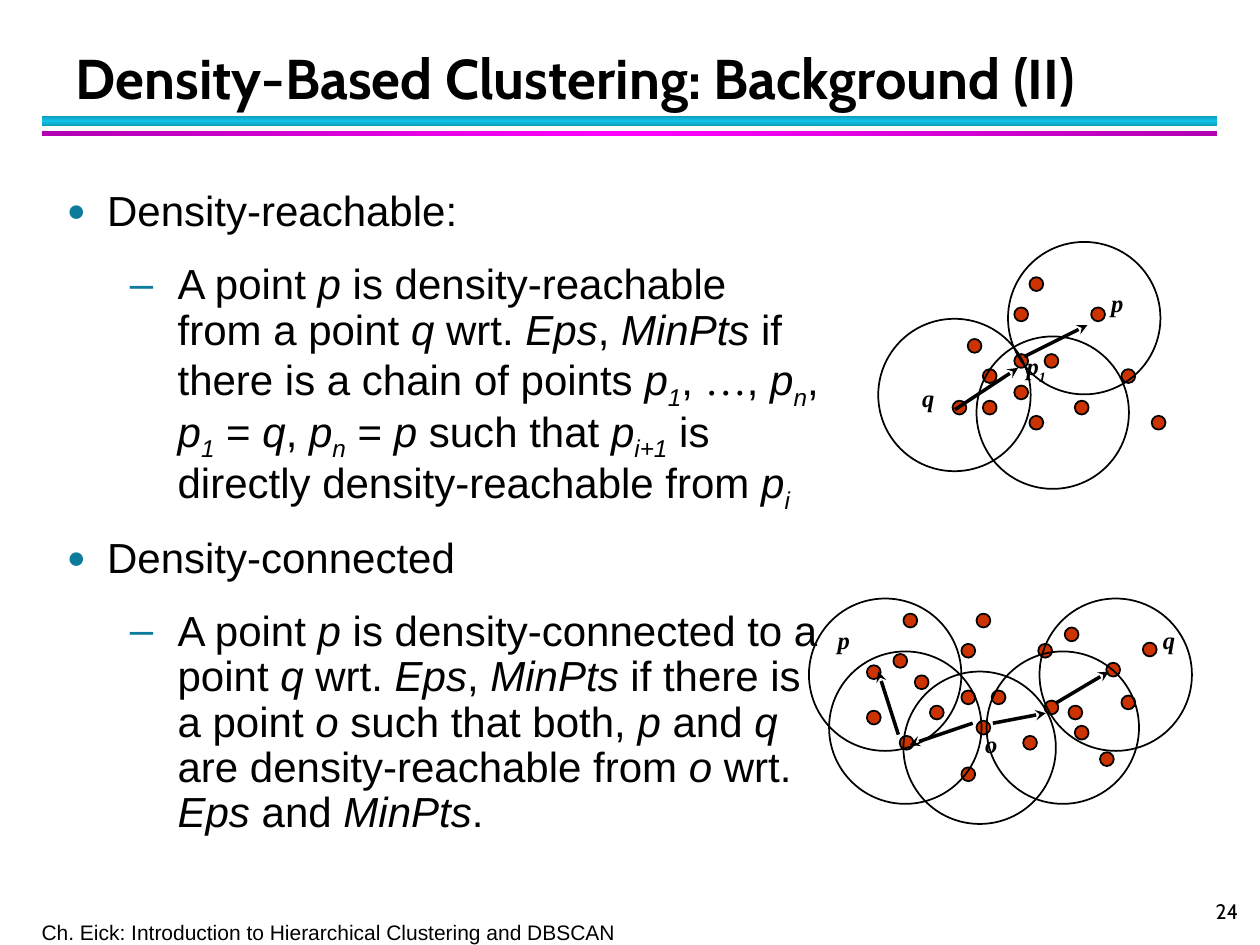
from copy import deepcopy

from lxml.etree import SubElement as Sub
from pptx import Presentation
from pptx.dml.color import RGBColor as RGB
from pptx.enum.shapes import MSO_CONNECTOR as LINK, MSO_SHAPE as SHAPE
from pptx.enum.text import MSO_ANCHOR as ANCHOR, MSO_AUTO_SIZE as FIT, PP_ALIGN as ALIGN
from pptx.oxml.ns import qn
from pptx.util import Inches, Pt

BLACK = RGB(0, 0, 0)
RED = RGB(0xCC, 0x33, 0x00)
TEAL = RGB(0x0C, 0x7B, 0x9C)
CYAN = (RGB(0x0E, 0x9B, 0xBA), RGB(0x12, 0xC2, 0xE9))
PINK = (RGB(0xB2, 0x00, 0xB2), RGB(0xFF, 0x00, 0xFF))
SANS, HEAD, SERIF = "Arial", "Cabin", "Times New Roman"
DOT, RING = 0.11, 1.21


def put(para, text, font=SANS, size=24, bold=False, italic=False, sub=False):
    """Add one formatted run to a paragraph."""
    run = para.add_run()
    run.text = text
    face = run.font
    face.name, face.size, face.bold, face.italic = font, Pt(size), bold, italic
    face.color.rgb = BLACK
    if sub:
        face._element.set("baseline", "-25000")


def rich(para, text):
    """*...* is italic; ~...~ is a subscript in italics, serif elsewhere."""
    for i, part in enumerate(text.split("*")):
        slant = i % 2 == 1
        for j, bit in enumerate(part.split("~")):
            mark = j % 2 == 1
            if bit:
                put(para, bit, font=SERIF if mark and not slant else SANS,
                    italic=slant, sub=mark and slant)


def bullet(para, sign, left, hang, scale=100):
    props = para._p.get_or_add_pPr()
    props.set("marL", str(Inches(left)))
    props.set("indent", str(-Inches(hang)))
    Sub(Sub(props, qn("a:buClr")), qn("a:srgbClr"), val=str(TEAL))
    Sub(props, qn("a:buSzPct"), val=str(scale * 1000))
    Sub(props, qn("a:buFont"), typeface=SANS)
    Sub(props, qn("a:buChar"), char=sign)


class Deck:
    def __init__(self):
        self.file = Presentation()
        self.file.slide_width, self.file.slide_height = Inches(10), Inches(7.5)
        self.slide = self.file.slides.add_slide(self.file.slide_layouts[1])
        self.shapes = self.slide.shapes

    def place(self, shape, *box):
        shape.left, shape.top, shape.width, shape.height = map(Inches, box)
        frame = shape.text_frame
        frame.word_wrap, frame.auto_size = True, FIT.NONE
        return frame

    def title(self, text, *box):
        frame = self.place(self.shapes.title, *box)
        frame.vertical_anchor = ANCHOR.MIDDLE
        para = frame.paragraphs[0]
        para.alignment, para.line_spacing = ALIGN.LEFT, Pt(36)
        put(para, text, HEAD, 32, bold=True)

    def body(self, items, *box):
        frame = self.place(self.slide.placeholders[1], *box)
        for i, (level, text) in enumerate(items):
            para = frame.add_paragraph() if i else frame.paragraphs[0]
            para.level, para.line_spacing = level, 0.9
            para.space_before, para.space_after = Pt(12 if i else 0), Pt(4)
            if level:
                bullet(para, "–", 0.88, 0.38)
            else:
                bullet(para, "●", 0.32, 0.32, 75)
            rich(para, text)

    def text(self, text, *box, sub="", pad=True, lead=None, anchor=ANCHOR.TOP, **style):
        frame = self.place(self.shapes.add_textbox(0, 0, 0, 0), *box)
        frame.vertical_anchor = anchor
        if not pad:
            frame.margin_left = frame.margin_right = 0
            frame.margin_top = frame.margin_bottom = 0
        para = frame.paragraphs[0]
        para.line_spacing = lead
        put(para, text, **style)
        if sub:
            put(para, sub, sub=True, **style)

    def label(self, text, x, y, sub=""):
        self.text(text, x, y, 0.67 if sub else 0.42, 0.5, sub=sub,
                  font=SERIF, size=14, bold=True, italic=True)

    def shape(self, kind, *box):
        shape = self.shapes.add_shape(kind, *map(Inches, box))
        shape.shadow.inherit = False
        return shape

    def bar(self, y, high, tones, angle):
        bar = self.shape(SHAPE.RECTANGLE, 0.33, y, 9.33, high)
        bar.line.fill.background()
        bar.fill.gradient()
        bar.fill.gradient_angle = angle
        stops = bar._element.spPr.find(".//" + qn("a:gsLst"))
        stops.insert(1, deepcopy(stops[0]))
        edge, mid = tones
        for stop, at, tone in zip(bar.fill.gradient_stops, (0, 0.5, 1), (edge, mid, edge)):
            stop.position, stop.color.rgb = at, tone

    def disc(self, x, y, size, fill=None):
        disc = self.shape(SHAPE.OVAL, x, y, size, size)
        if fill is None:
            disc.fill.background()
        else:
            disc.fill.solid()
            disc.fill.fore_color.rgb = fill
        disc.line.color.rgb, disc.line.width = BLACK, Pt(1)

    def arrow(self, *ends):
        line = self.shapes.add_connector(LINK.STRAIGHT, *map(Inches, ends))
        line.line.color.rgb, line.line.width = BLACK, Pt(2)
        Sub(line.line._get_or_add_ln(), qn("a:tailEnd"), type="stealth")
        Sub(line._element.spPr, qn("a:effectLst"))

    def plot(self, dots, rings, labels, arrows):
        for x, y in dots:
            self.disc(x, y, DOT, RED)
        for x, y in rings:
            self.disc(x, y, RING)
        for label in labels:
            self.label(*label)
        for ends in arrows:
            self.arrow(*ends)


def main():
    deck = Deck()

    # Header bars, title and footer
    deck.bar(0.92, 0.08, CYAN, 90)
    deck.bar(1.04, 0.04, PINK, 0)
    deck.title("Density-Based Clustering: Background (II)", 0.5, 0.17, 9.58, 0.92)
    deck.text("Ch. Eick: Introduction to Hierarchical Clustering and DBSCAN",
              0.33, 7.22, 9.15, 0.28, pad=False, lead=Pt(20),
              anchor=ANCHOR.BOTTOM, size=12)
    deck.text("24", 9.55, 7.08, 0.45, 0.42, font=HEAD, size=12)

    # Definitions
    deck.body([
        (0, "Density-reachable:"),
        (1, "A point *p* is density-reachable from a point *q *wrt. *Eps*, *MinPts* if "
            "there is a chain of points *p~1~*, ~…~, *p~n~*, *p~1~* = *q*, *p~n~* = *p* "
            "such that *p~i+1~* is directly density-reachable from *p~i~*"),
        (0, "Density-connected"),
        (1, "A point *p* is density-connected to a point *q *wrt. *Eps*, *MinPts* if "
            "there is a point *o *such that both, *p* and *q* are density-reachable "
            "from *o *wrt. *Eps* and *MinPts*."),
    ], 0.43, 1.46, 6.17, 5.08)

    # Density-reachable: a chain from q through p1 to p
    deck.plot(
        dots=[(7.68, 2.69), (8.05, 2.81), (8.05, 2.44), (7.56, 3.18), (7.8, 2.93),
              (7.8, 3.18), (8.17, 3.3), (8.17, 2.2), (8.9, 2.93), (8.66, 2.44),
              (8.05, 3.06), (8.29, 2.81), (8.53, 3.18), (9.14, 3.3)],
        rings=[(7.75, 2.67), (6.97, 2.53), (8, 1.92)],
        labels=[("p", 8.72, 2.24), ("q", 7.22, 2.99), ("p", 8.05, 2.74, "1")],
        arrows=[(8.13, 2.83, 8.63, 2.58), (7.58, 3.25, 8.08, 2.92)])

    # Density-connected: chains from o to both p and q
    deck.plot(
        dots=[(7.26, 5.36), (7.63, 5.48), (7.63, 5.11), (7.14, 5.84), (7.38, 5.6),
              (7.63, 6.09), (7.75, 5.72), (7.75, 4.87), (8.48, 5.6), (8.24, 5.11),
              (6.88, 5.64), (7.87, 5.48), (8.12, 5.84), (8.73, 5.97), (8.9, 5.52),
              (8.29, 5.56), (8.53, 5.76), (9.07, 5.1), (8.45, 4.98), (8.78, 5.26),
              (7.09, 5.19), (6.88, 5.28), (7.17, 4.87)],
        rings=[(6.58, 5.17), (7.17, 5.33), (7.83, 5.17), (8.25, 4.75), (6.42, 4.75)],
        labels=[("p", 6.55, 4.91), ("q", 9.13, 4.91), ("o", 7.72, 5.74)],
        arrows=[(7.72, 5.74, 7.22, 5.91), (7.88, 5.74, 8.3, 5.66),
                (7.13, 5.83, 6.97, 5.33), (8.38, 5.58, 8.8, 5.33)])

    deck.file.save("out.pptx")


if __name__ == "__main__":
    main()
